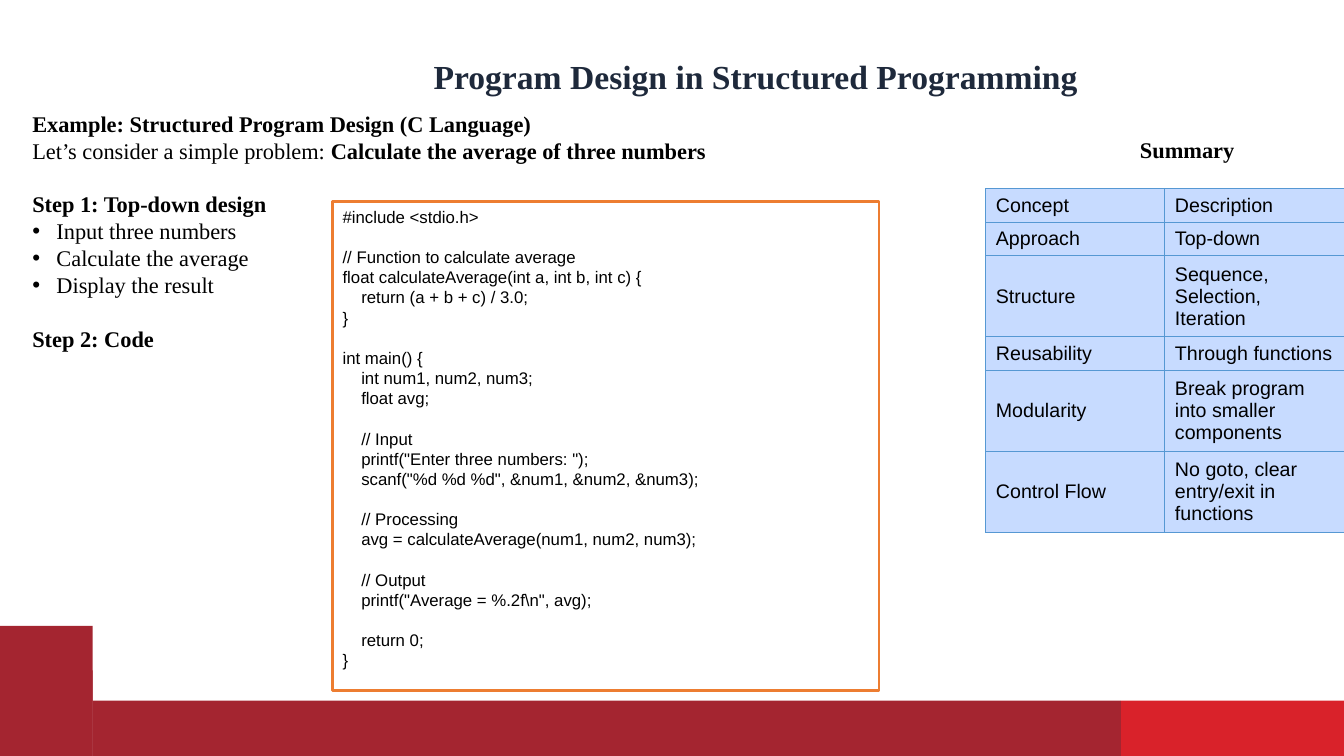
from dataclasses import dataclass

from lxml import etree
from pptx import Presentation
from pptx.dml.color import RGBColor
from pptx.enum.shapes import MSO_SHAPE
from pptx.enum.text import MSO_ANCHOR, MSO_AUTO_SIZE, PP_ALIGN
from pptx.oxml.ns import qn
from pptx.util import Inches, Pt

RECTANGLE = MSO_SHAPE.RECTANGLE
TOP, MIDDLE, BOTTOM = MSO_ANCHOR.TOP, MSO_ANCHOR.MIDDLE, MSO_ANCHOR.BOTTOM
LEFT, CENTER = PP_ALIGN.LEFT, PP_ALIGN.CENTER
NO_AUTOFIT = MSO_AUTO_SIZE.NONE

CRIMSON = RGBColor(0xA4, 0x25, 0x30)
SCARLET = RGBColor(0xD9, 0x22, 0x2A)
ORANGE = RGBColor(0xED, 0x7D, 0x31)
SKY = RGBColor(0xC7, 0xDB, 0xFF)
STEEL = RGBColor(0x56, 0x98, 0xD3)
NAVY = RGBColor(0x1E, 0x29, 0x3B)
BLACK = RGBColor(0, 0, 0)
WHITE = RGBColor(255, 255, 255)

SERIF, SANS = "Times New Roman", "Arial"
WIDTH, HEIGHT = Inches(13.33), Inches(7.5)
LINE_FACTOR = 1.2
BODY_SIZE, CODE_SIZE, TABLE_SIZE = 16, 12, 14
CODE_INDENT = Pt(13.34)
BULLET_INDENT = Inches(0.24)


@dataclass(frozen=True)
class Area:
    """Shares of the slide in percent."""
    left: float
    top: float
    width: float
    height: float

    def emu(self) -> tuple[int, int, int, int]:
        return (int(WIDTH * self.left / 100), int(HEIGHT * self.top / 100),
                int(WIDTH * self.width / 100), int(HEIGHT * self.height / 100))


@dataclass(frozen=True)
class Band:
    area: Area
    color: RGBColor


@dataclass(frozen=True)
class Step:
    text: str
    bold: bool = False
    bulleted: bool = False
    gap: bool = False
    bold_ending: str = ""


BANDS = [
    Band(Area(0, 88.67, 6.9, 11.33), CRIMSON),
    Band(Area(83.4, 92.67, 16.6, 7.33), SCARLET),
    Band(Area(0, 82.8, 6.9, 17.2), CRIMSON),
    Band(Area(6.9, 92.67, 76.5, 7.33), CRIMSON),
]
STEPS = [
    Step("Example: Structured Program Design (C Language)", bold=True),
    Step("Let’s consider a simple problem: ",
         bold_ending="Calculate the average of three numbers"),
    Step("Step 1: Top-down design", bold=True, gap=True),
    Step("Input three numbers", bulleted=True),
    Step("Calculate the average", bulleted=True),
    Step("Display the result", bulleted=True),
    Step("Step 2: Code", bold=True, gap=True),
]
CODE = r"""#include <stdio.h>

// Function to calculate average
float calculateAverage(int a, int b, int c) {
    return (a + b + c) / 3.0;
}

int main() {
    int num1, num2, num3;
    float avg;

    // Input
    printf("Enter three numbers: ");
    scanf("%d %d %d", &num1, &num2, &num3);

    // Processing
    avg = calculateAverage(num1, num2, num3);

    // Output
    printf("Average = %.2f\n", avg);

    return 0;
}"""
SUMMARY = [
    ("Concept", "Description"),
    ("Approach", "Top-down"),
    ("Structure", "Sequence, Selection, Iteration"),
    ("Reusability", "Through functions"),
    ("Modularity", "Break program into smaller components"),
    ("Control Flow", "No goto, clear entry/exit in functions"),
]
SHORT_ROW, TALL_ROW = 4.42, 10.7
ROW_SHARES = [SHORT_ROW, SHORT_ROW, TALL_ROW, SHORT_ROW, TALL_ROW, TALL_ROW]


def set_font(paragraph, name: str, size: int, color: RGBColor, bold: bool | None = False) -> None:
    font = paragraph.font
    font.name, font.size, font.bold = name, Pt(size), bold
    font.color.rgb = color


def set_spacing(paragraph, size: int, gap: bool) -> None:
    line = Pt(size * LINE_FACTOR)
    paragraph.line_spacing = line
    paragraph.space_before = line if gap else Pt(0)
    paragraph.space_after = Pt(0)


def set_bullet(paragraph, bulleted: bool) -> None:
    properties = paragraph._p.get_or_add_pPr()
    indent = BULLET_INDENT if bulleted else 0
    properties.set("marL", str(indent))
    properties.set("indent", str(-indent))
    if bulleted:
        bullet_color = etree.SubElement(properties, qn("a:buClr"))
        etree.SubElement(bullet_color, qn("a:srgbClr"), val=str(BLACK))
        etree.SubElement(properties, qn("a:buFont"), typeface=SANS)
        etree.SubElement(properties, qn("a:buChar"), char="•")
    else:
        etree.SubElement(properties, qn("a:buNone"))


def place(shape, area: Area) -> None:
    shape.left, shape.top, shape.width, shape.height = area.emu()


def add_rectangle(slide, area: Area, color: RGBColor):
    rectangle = slide.shapes.add_shape(RECTANGLE, *area.emu())
    rectangle.shadow.inherit = False
    rectangle.fill.solid()
    rectangle.fill.fore_color.rgb = color
    rectangle.line.fill.background()
    return rectangle


def fill_title(title) -> None:
    place(title, Area(25.73, 4.8, 60.98, 7.87))
    frame = title.text_frame
    frame.text = "Program Design in Structured Programming"
    frame.auto_size, frame.vertical_anchor = NO_AUTOFIT, BOTTOM
    frame.margin_left = frame.margin_right = frame.margin_bottom = 0
    frame.margin_top = Inches(0.01)
    frame.paragraphs[0].alignment = CENTER
    set_font(frame.paragraphs[0], SERIF, 24, NAVY, True)


def fill_steps(body) -> None:
    place(body, Area(1.65, 13.87, 68.48, 33.6))
    frame = body.text_frame
    frame.auto_size, frame.vertical_anchor = NO_AUTOFIT, TOP
    for index, step in enumerate(STEPS):
        paragraph = frame.add_paragraph() if index else frame.paragraphs[0]
        paragraph.add_run().text = step.text
        set_spacing(paragraph, BODY_SIZE, step.gap)
        set_bullet(paragraph, step.bulleted)
        set_font(paragraph, SERIF, BODY_SIZE, BLACK, step.bold)
        if step.bold_ending:
            ending = paragraph.add_run()
            ending.text = step.bold_ending
            ending.font.bold = True


def add_code(slide) -> None:
    listing = add_rectangle(slide, Area(24.75, 26.67, 40.65, 64.67), WHITE)
    listing.line.color.rgb, listing.line.width = ORANGE, Pt(2)
    frame = listing.text_frame
    frame.word_wrap, frame.vertical_anchor = True, TOP
    for number, block in enumerate(CODE.split("\n\n")):
        for row, line in enumerate(block.split("\n")):
            paragraph = frame.add_paragraph() if number or row else frame.paragraphs[0]
            paragraph.text = line.lstrip()
            paragraph.alignment = LEFT
            set_spacing(paragraph, CODE_SIZE, number > 0 and row == 0)
            if line.startswith(" "):
                paragraph._p.get_or_add_pPr().set("marL", str(CODE_INDENT))
            set_font(paragraph, SANS, CODE_SIZE, BLACK)


def set_borders(cell) -> None:
    properties = cell._tc.get_or_add_tcPr()
    for side in ("lnL", "lnR", "lnT", "lnB"):
        border = etree.SubElement(properties, qn(f"a:{side}"), w=str(Pt(0.75)))
        fill = etree.SubElement(border, qn("a:solidFill"))
        etree.SubElement(fill, qn("a:srgbClr"), val=str(STEEL))


def add_summary(slide) -> None:
    heading = slide.shapes.add_textbox(*Area(84.08, 17.33, 9, 4.93).emu()).text_frame
    heading.word_wrap = True
    heading.text = "Summary"
    set_font(heading.paragraphs[0], SERIF, BODY_SIZE, BLACK, True)
    area = Area(73.35, 24.93, 26.65, sum(ROW_SHARES))
    table = slide.shapes.add_table(len(SUMMARY), len(SUMMARY[0]), *area.emu()).table
    table.first_row = table.horz_banding = False
    for row, (share, texts) in enumerate(zip(ROW_SHARES, SUMMARY)):
        table.rows[row].height = int(HEIGHT * share / 100)
        for column, text in enumerate(texts):
            cell = table.cell(row, column)
            cell.text, cell.vertical_anchor = text, MIDDLE
            set_borders(cell)
            cell.fill.solid()
            cell.fill.fore_color.rgb = SKY
            set_font(cell.text_frame.paragraphs[0], SANS, TABLE_SIZE, BLACK)


def main() -> None:
    deck = Presentation()
    deck.slide_width, deck.slide_height = WIDTH, HEIGHT
    slide = deck.slides.add_slide(deck.slide_layouts[1])
    for band in BANDS:
        add_rectangle(slide, band.area, band.color)
    fill_title(slide.shapes.title)
    fill_steps(slide.placeholders[1])
    add_code(slide)
    add_summary(slide)
    deck.save("out.pptx")


if __name__ == "__main__":
    main()
